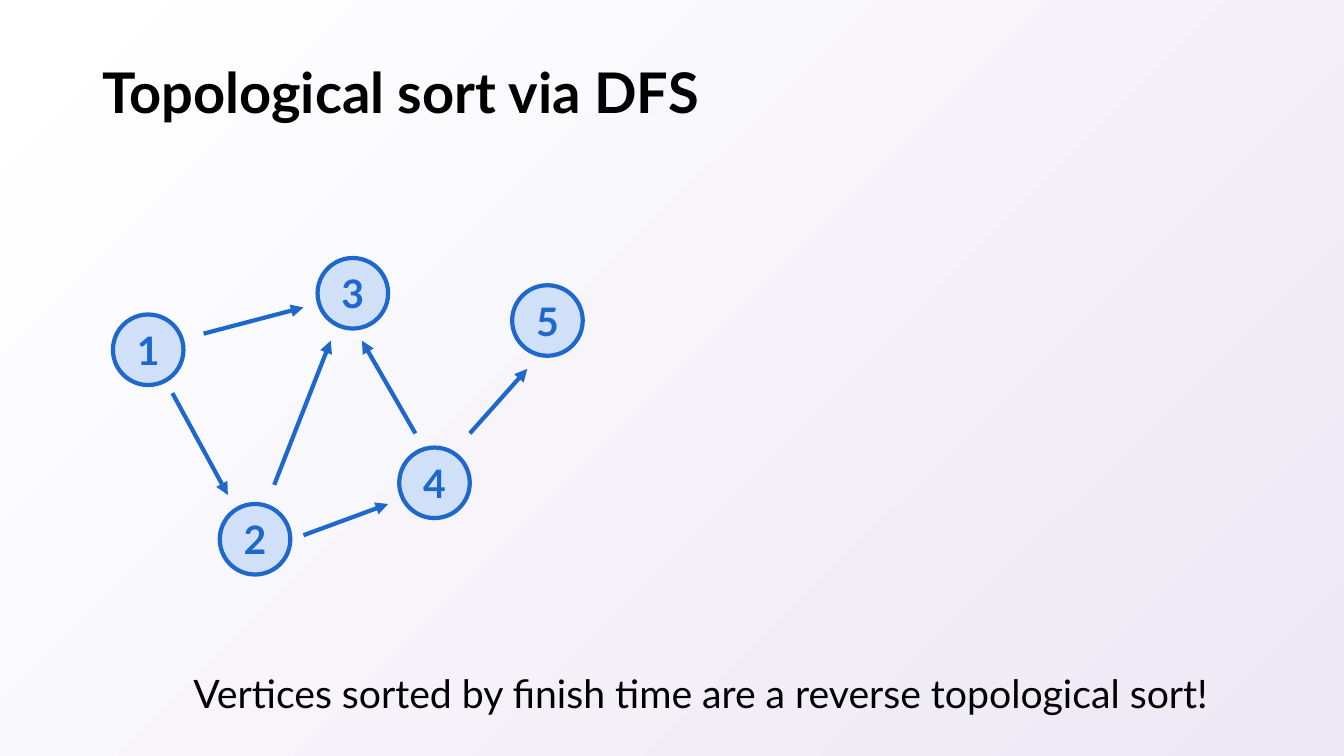
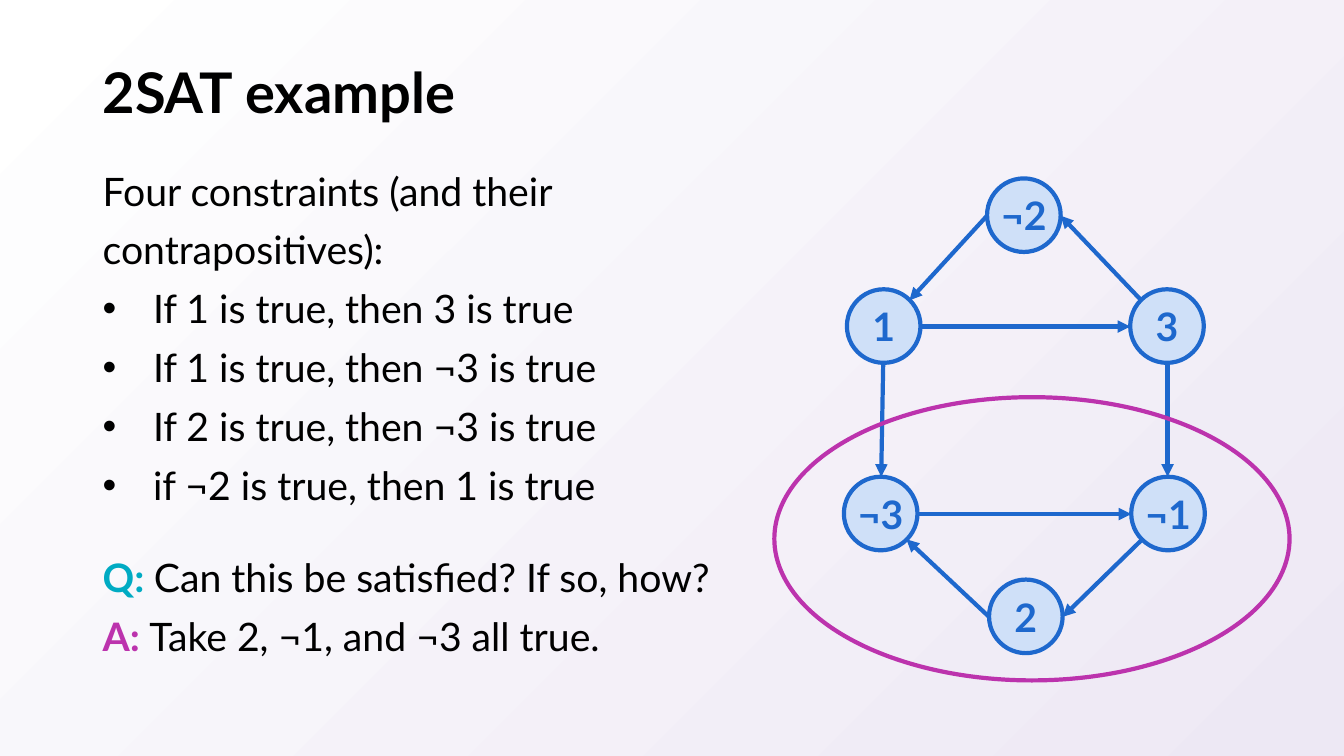
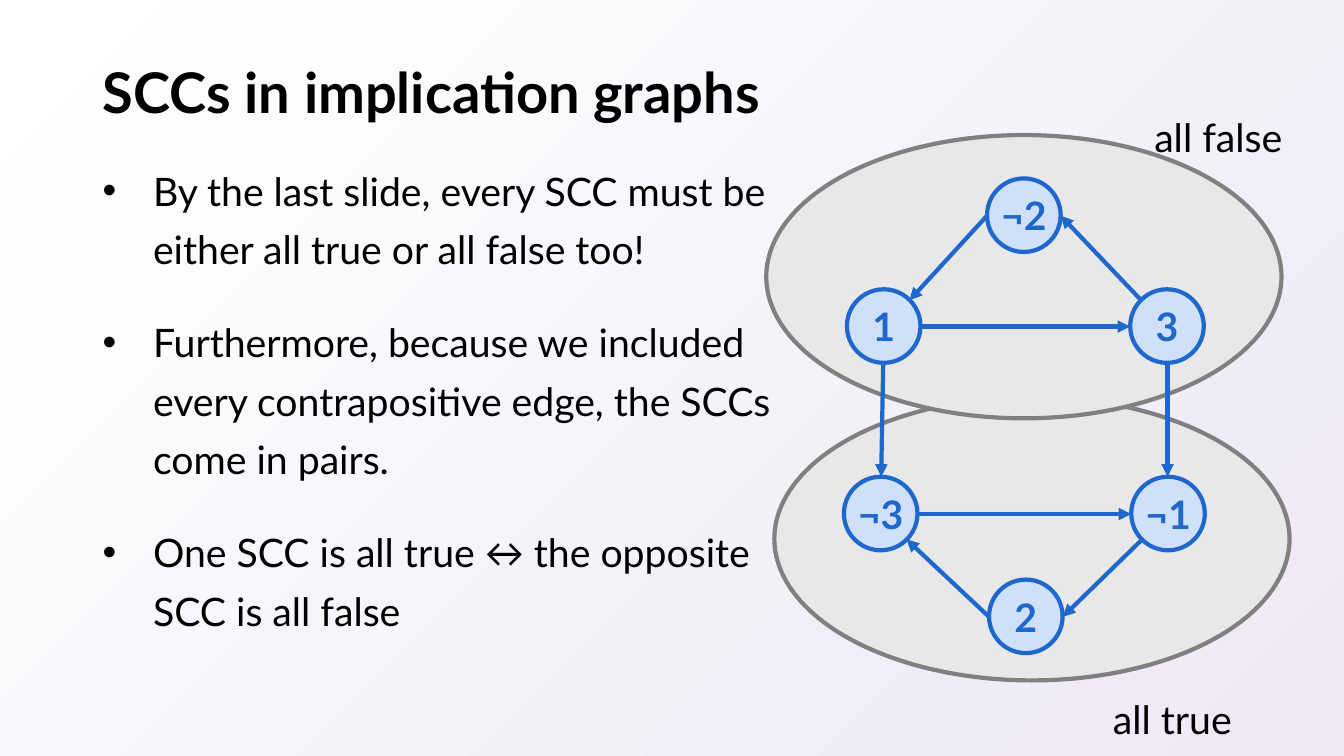
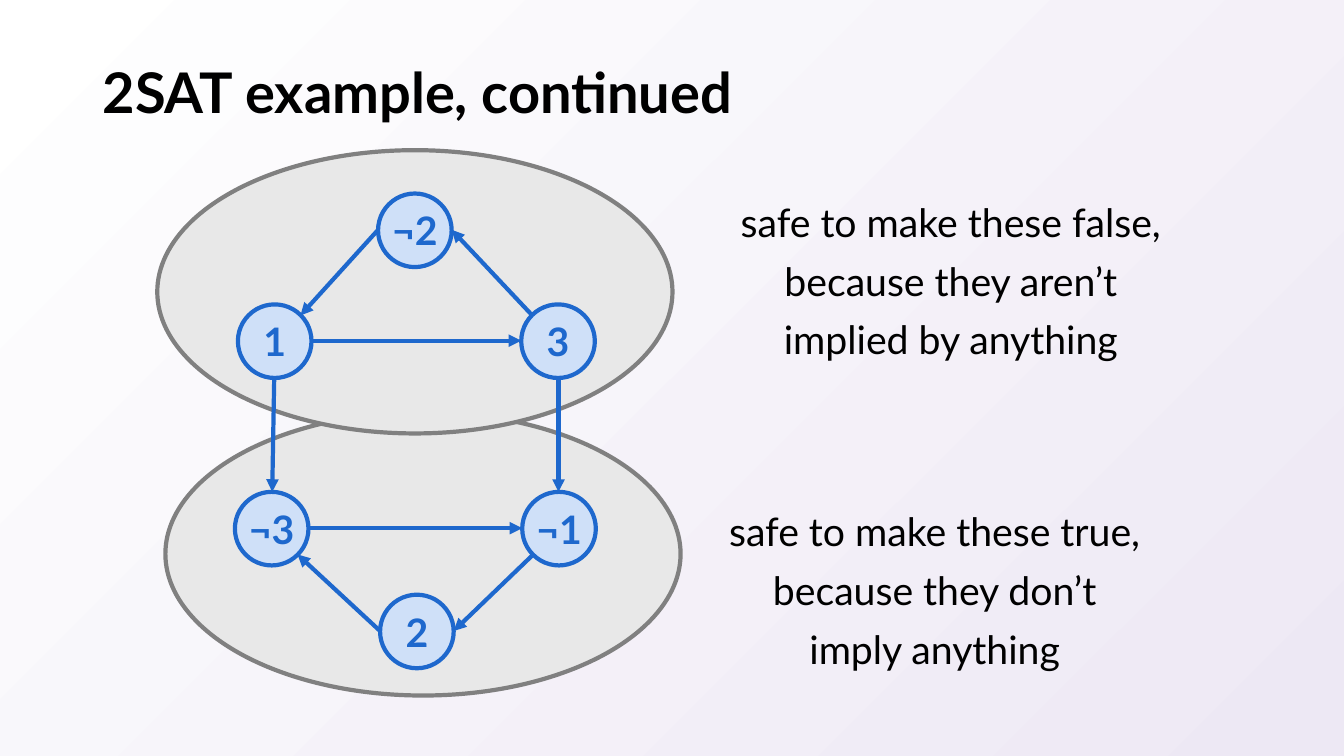
from dataclasses import dataclass
from math import cos, radians, sin

from lxml import etree
from pptx import Presentation
from pptx import util as u
from pptx.dml.color import RGBColor
from pptx.enum import shapes, text
from pptx.oxml.ns import qn

# Shared look: 100 px to the inch
PX = 9144
FONT = "Lato"
BLACK, BLUE, PALE_BLUE = "000000", "1E68CD", "CFE0F8"
TEAL, MAGENTA = "00ABC3", "BC33AD"
GRAY, PALE_GRAY = "808080", "E8E8E8"
BG_START, BG_END = "FFFFFF", "EDE8F4"
LINE_PT, TITLE_PT, BODY_PT = 3, 40, 28
BULLET_INDENT = 50


@dataclass(frozen=True)
class Run:
    text: str
    color: str = BLACK
    bold: bool = False
    size: int = BODY_PT


@dataclass(frozen=True)
class Para:
    runs: tuple[Run, ...]
    bullet: bool = False
    before: int = 0
    spacing: float = 1.25
    align: text.PP_ALIGN = text.PP_ALIGN.LEFT


@dataclass(frozen=True)
class Box:
    x: int
    y: int
    w: int
    h: int

    def moved(self, dx: int, dy: int) -> "Box":
        return Box(self.x + dx, self.y + dy, self.w, self.h)


@dataclass(frozen=True)
class Node:
    label: str
    x: int
    y: int


@dataclass(frozen=True)
class Edge:
    start: str
    start_angle: int
    end: str
    end_angle: int


TITLE_BOX = Box(92, 40, 1150, 109)

# Depth-first search graph: nodes, and arrows that stop short of them
DFS_SIZE = 70
DFS_NODES = (Node("3", 315, 256), Node("1", 112, 312), Node("4", 396, 444),
             Node("2", 218, 500), Node("5", 508, 283))
DFS_ARROWS = ((202, 331, 301, 305), (171, 390, 226, 491), (301, 531, 385, 500),
              (466, 430, 523, 366), (412, 430, 359, 338), (272, 481, 328, 338))

# Implication graph: edges run between points on the circles (degrees clockwise from the right)
SAT_SIZE = 73
SAT_NODES = (Node("1", 840, 287), Node("¬1", 1122, 473), Node("2", 981, 575),
             Node("¬2", 979, 177), Node("3", 1121, 287), Node("¬3", 837, 473))
RIGHT, BOTTOM_LEFT, BOTTOM, LEFT, TOP_LEFT, TOP, TOP_RIGHT = 0, 135, 90, 180, 225, 270, 315
BOTTOM_RIGHT = 45
SAT_EDGES = (
    Edge("¬1", BOTTOM_LEFT, "2", RIGHT), Edge("¬2", LEFT, "1", TOP_RIGHT),
    Edge("1", BOTTOM, "¬3", TOP), Edge("3", BOTTOM, "¬1", TOP),
    Edge("1", RIGHT, "3", LEFT), Edge("¬3", RIGHT, "¬1", LEFT),
    Edge("2", LEFT, "¬3", BOTTOM_RIGHT), Edge("3", TOP_LEFT, "¬2", RIGHT),
)
LOWER_SCC, UPPER_SCC = Box(768, 394, 511, 281), Box(760, 134, 511, 281)


def rgb(color: str) -> RGBColor:
    return RGBColor.from_string(color)


def place(box: Box) -> tuple[int, ...]:
    return tuple(v * PX for v in (box.x, box.y, box.w, box.h))


def plain(content: str, **options) -> Para:
    return Para((Run(content),), **options)


def add_run(p, run: Run) -> None:
    r = p.add_run()
    r.text = run.text
    r.font.name, r.font.size, r.font.bold = FONT, u.Pt(run.size), run.bold
    r.font.color.rgb = rgb(run.color)


def add_bullet(p) -> None:
    pPr = p._p.get_or_add_pPr()
    pPr.set("marL", str(BULLET_INDENT * PX))
    pPr.set("indent", str(-BULLET_INDENT * PX))
    etree.SubElement(pPr, qn("a:buFont"), typeface="Arial")
    etree.SubElement(pPr, qn("a:buChar"), char="•")


def add_text(slide, box: Box, paras: tuple[Para, ...], wrap: bool = True,
             anchor: text.MSO_ANCHOR = text.MSO_ANCHOR.TOP) -> None:
    tf = slide.shapes.add_textbox(*place(box)).text_frame
    tf.word_wrap, tf.vertical_anchor = wrap, anchor
    if not wrap:
        tf.auto_size = text.MSO_AUTO_SIZE.SHAPE_TO_FIT_TEXT
    for i, para in enumerate(paras):
        p = tf.paragraphs[0] if i == 0 else tf.add_paragraph()
        if para.bullet:
            add_bullet(p)
        p.alignment, p.line_spacing = para.align, para.spacing
        p.space_before = u.Pt(para.before)
        for run in para.runs:
            add_run(p, run)


def add_ellipse(slide, box: Box, line: str, fill: str | None = None):
    sp = slide.shapes.add_shape(shapes.MSO_SHAPE.OVAL, *place(box))
    sp.shadow.inherit = False
    if fill:
        sp.fill.solid()
        sp.fill.fore_color.rgb = rgb(fill)
    else:
        sp.fill.background()
    sp.line.color.rgb, sp.line.width = rgb(line), u.Pt(LINE_PT)
    return sp


def add_node(slide, node: Node, size: int) -> None:
    tf = add_ellipse(slide, Box(node.x, node.y, size, size), BLUE, PALE_BLUE).text_frame
    tf.margin_left = tf.margin_right = 0
    tf.vertical_anchor = text.MSO_ANCHOR.MIDDLE
    p = tf.paragraphs[0]
    p.alignment = text.PP_ALIGN.CENTER
    add_run(p, Run(node.label, BLUE, True))


def add_arrow(slide, x1: int, y1: int, x2: int, y2: int) -> None:
    line = slide.shapes.add_connector(
        shapes.MSO_CONNECTOR.STRAIGHT, *(v * PX for v in (x1, y1, x2, y2)))
    line.line.color.rgb, line.line.width = rgb(BLUE), u.Pt(LINE_PT)
    etree.SubElement(line.line._get_or_add_ln(), qn("a:tailEnd"), type="triangle")
    etree.SubElement(line._element.spPr, qn("a:effectLst"))


def rim_point(node: Node, angle: int) -> tuple[int, int]:
    radius = SAT_SIZE / 2
    return (round(node.x + radius * (1 + cos(radians(angle)))),
            round(node.y + radius * (1 + sin(radians(angle)))))


def add_implication_graph(slide, dx: int = 0, dy: int = 0) -> None:
    nodes = {n.label: Node(n.label, n.x + dx, n.y + dy) for n in SAT_NODES}
    for node in nodes.values():
        add_node(slide, node, SAT_SIZE)
    for e in SAT_EDGES:
        add_arrow(slide, *rim_point(nodes[e.start], e.start_angle),
                  *rim_point(nodes[e.end], e.end_angle))


def add_components(slide, dx: int = 0, dy: int = 0) -> None:
    for box in (LOWER_SCC, UPPER_SCC):
        add_ellipse(slide, box.moved(dx, dy), GRAY, PALE_GRAY)


def add_title(slide, title: str) -> None:
    para = Para((Run(title, bold=True, size=TITLE_PT),), spacing=0.9)
    add_text(slide, TITLE_BOX, (para,), anchor=text.MSO_ANCHOR.MIDDLE)


def set_background(prs) -> None:
    fill = prs.slide_master.background.fill
    fill.gradient()
    fill.gradient_angle = 315
    for stop, color, position in zip(fill.gradient_stops, (BG_START, BG_END), (0, 1)):
        stop.color.rgb, stop.position = rgb(color), position


def topological_sort(slide) -> None:
    add_title(slide, "Topological sort via DFS")
    for node in DFS_NODES:
        add_node(slide, node, DFS_SIZE)
    for arrow in DFS_ARROWS:
        add_arrow(slide, *arrow)
    add_text(slide, Box(182, 647, 1032, 63),
             (plain("Vertices sorted by finish time are a reverse topological sort!"),), wrap=False)


def sat_example(slide) -> None:
    add_title(slide, "2SAT example")
    constraints = ("If 1 is true, then 3 is true", "If 1 is true, then ¬3 is true",
                   "If 2 is true, then ¬3 is true", "if ¬2 is true, then 1 is true")
    add_text(slide, Box(92, 149, 676, 526), (
        plain("Four constraints (and their contrapositives):"),
        *(plain(c, bullet=True) for c in constraints),
        Para((Run("Q: ", TEAL, True), Run("Can this be satisfied? If so, how?")), before=24),
        Para((Run("A: ", MAGENTA, True), Run("Take 2, ¬1, and ¬3 all true."))),
    ))
    add_implication_graph(slide)
    add_ellipse(slide, LOWER_SCC, MAGENTA)


def implication_sccs(slide) -> None:
    add_components(slide)
    add_title(slide, "SCCs in implication graphs")
    points = ("By the last slide, every SCC must be either all true or all false too!",
              "Furthermore, because we included every contrapositive edge, the SCCs come in pairs.",
              "One SCC is all true ↔ the opposite SCC is all false")
    add_text(slide, Box(92, 149, 712, 526), tuple(
        plain(point, bullet=True, before=24 if i else 0) for i, point in enumerate(points)))
    add_implication_graph(slide)
    add_text(slide, Box(1094, 673, 141, 63), (plain("all true"),), wrap=False)
    add_text(slide, Box(1135, 96, 148, 63), (plain("all false"),), wrap=False)


def sat_continued(slide) -> None:
    add_title(slide, "2SAT example, continued")
    shift = (-604, 15)
    add_components(slide, *shift)
    add_implication_graph(slide, *shift)
    for box, reason in (
        (Box(709, 487, 436, 180), "safe to make these true, because they don’t imply anything"),
        (Box(709, 180, 468, 180), "safe to make these false, because they aren’t implied by anything"),
    ):
        add_text(slide, box, (plain(reason, align=text.PP_ALIGN.CENTER),))


def main() -> None:
    prs = Presentation()
    prs.slide_width, prs.slide_height = u.Inches(13.33), u.Inches(7.5)
    set_background(prs)
    for build in (topological_sort, sat_example, implication_sccs, sat_continued):
        build(prs.slides.add_slide(prs.slide_layouts[6]))
    prs.save("out.pptx")


if __name__ == "__main__":
    main()
